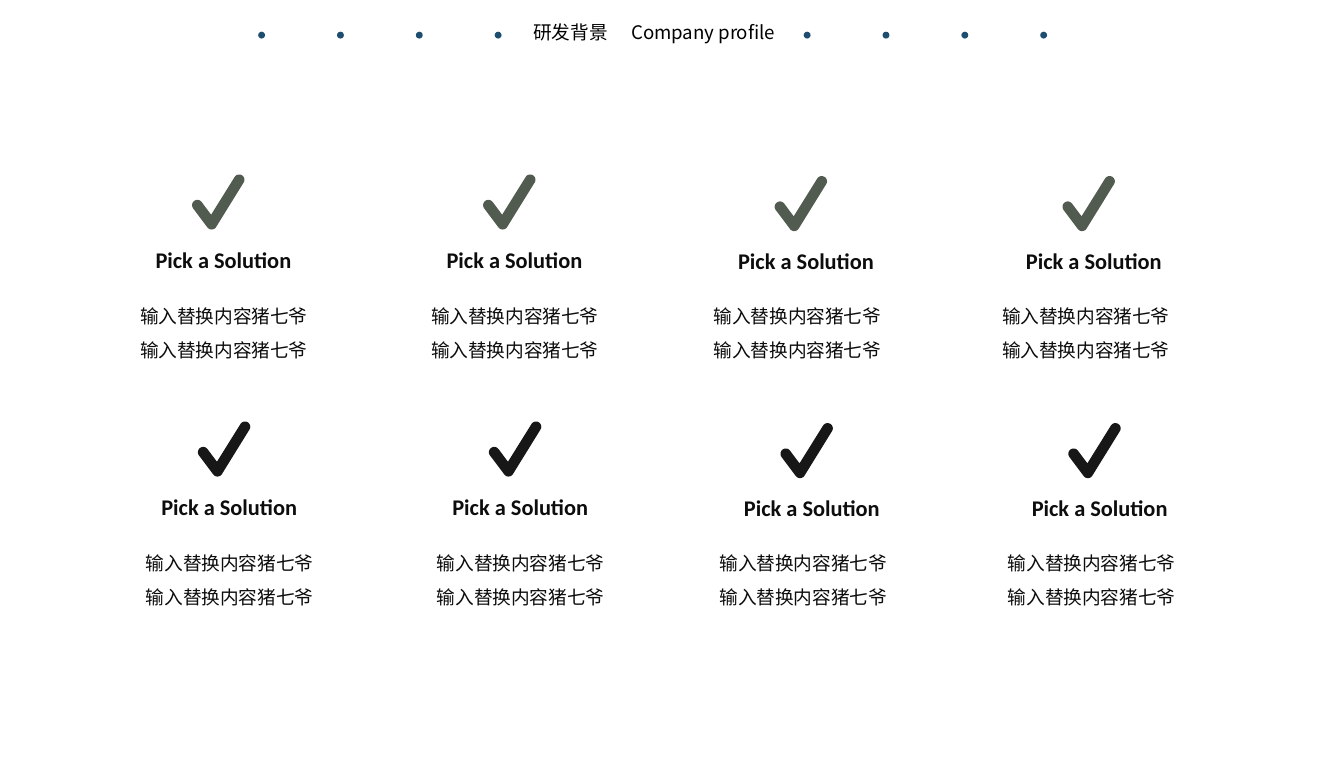
from math import cos, radians, sin

from pptx import Presentation
from pptx.dml.color import RGBColor
from pptx.enum.shapes import MSO_SHAPE
from pptx.enum.text import MSO_ANCHOR, PP_ALIGN
from pptx.oxml.ns import qn
from pptx.util import Cm, Pt

OVAL = MSO_SHAPE.OVAL
LEFT, CENTER = PP_ALIGN.LEFT, PP_ALIGN.CENTER
TOP, MIDDLE = MSO_ANCHOR.TOP, MSO_ANCHOR.MIDDLE

COLORS = {
    "dot": "1D4E6F",
    "header": "000000",
    "text": "0D0D0D",
    "green": "515B4F",
    "black": "181717",
}
CJK_FONT = "Noto Sans CJK SC"


def paint(shape, color):
    shape.shadow.inherit = False
    shape.fill.solid()
    shape.fill.fore_color.rgb = RGBColor.from_string(COLORS[color])
    shape.line.fill.background()


def add_text(shapes, box, lines, color, size=10, font=CJK_FONT,
             bold=False, align=CENTER, anchor=TOP):
    text_frame = shapes.add_textbox(*(Cm(value) for value in box)).text_frame
    text_frame.word_wrap = True
    text_frame.vertical_anchor = anchor
    text_frame.text = "\n".join(lines)
    for index, paragraph in enumerate(text_frame.paragraphs):
        paragraph.alignment = align
        if index:
            paragraph.space_before = Pt(6)
        if font == CJK_FONT:
            paragraph.line_spacing = Pt(12)
        run = paragraph.runs[0]
        run.font.size = Pt(size)
        run.font.bold = bold
        run.font.name = font
        run.font.color.rgb = RGBColor.from_string(COLORS[color])
        east_asian = run.font._element.makeelement(qn("a:ea"), {"typeface": font})
        run.font._element.append(east_asian)


presentation = Presentation()
presentation.slide_width = Cm(25.4)
presentation.slide_height = Cm(14.5)
slide = presentation.slides.add_slide(presentation.slide_layouts[6])

# Header: four dots on each side of the title
for start in (4.88, 15.19):
    for step in range(4):
        dot = slide.shapes.add_shape(
            OVAL, Cm(start + 1.49 * step), Cm(0.6), Cm(0.13), Cm(0.13))
        paint(dot, "dot")
add_text(slide.shapes, (9.83, 0.28, 2.51, 0.69), ["研发背景"], "header", align=LEFT)
add_text(slide.shapes, (11.68, 0.28, 4.65, 0.69), ["Company profile"], "header",
         align=LEFT)

# Check mark outline: round ends and elbow, traced clockwise, in cm
RADIUS = 0.1
ARCS = {
    "short end": (0.1, 0.58, 143, 323),
    "long end": (0.89, 0.1, 212, 392),
    "elbow": (0.37, 0.94, 32, 143),
}
check_points = []
for part, (x, y, first, last) in ARCS.items():
    for step in range(13):
        angle = radians(first + (last - first) * step / 12)
        check_points.append((Cm(x + RADIUS * cos(angle)), Cm(y + RADIUS * sin(angle))))
    if part == "short end":
        check_points.append((Cm(0.36), Cm(0.76)))

# Two rows of solutions: (check left, check top, body left) per column
COLUMNS = [(3.63, 3.3, 1.5), (9.13, 3.3, 7.0), (14.64, 3.33, 12.34), (20.08, 3.33, 17.79)]
ROWS = [(0, 0, "green"), (0.11, 4.67, "black")]
for shift_x, shift_y, check_color in ROWS:
    for check_left, check_top, body_left in COLUMNS:
        left, top = check_left + shift_x, check_top + shift_y
        group = slide.shapes.add_group_shape()
        builder = group.shapes.build_freeform(*check_points[0])
        builder.add_line_segments(check_points[1:], close=True)
        paint(builder.convert_to_shape(Cm(left), Cm(top)), check_color)
        add_text(group.shapes, (left - 1.87, top + 1.17, 4.93, 0.86),
                 ["Pick a Solution"], "text", size=12, font="Calibri",
                 bold=True, anchor=MIDDLE)
        add_text(slide.shapes, (body_left + shift_x, 5.64 + shift_y, 5.46, 1.32),
                 ["输入替换内容猪七爷"] * 2, "text")

presentation.save("out.pptx")
